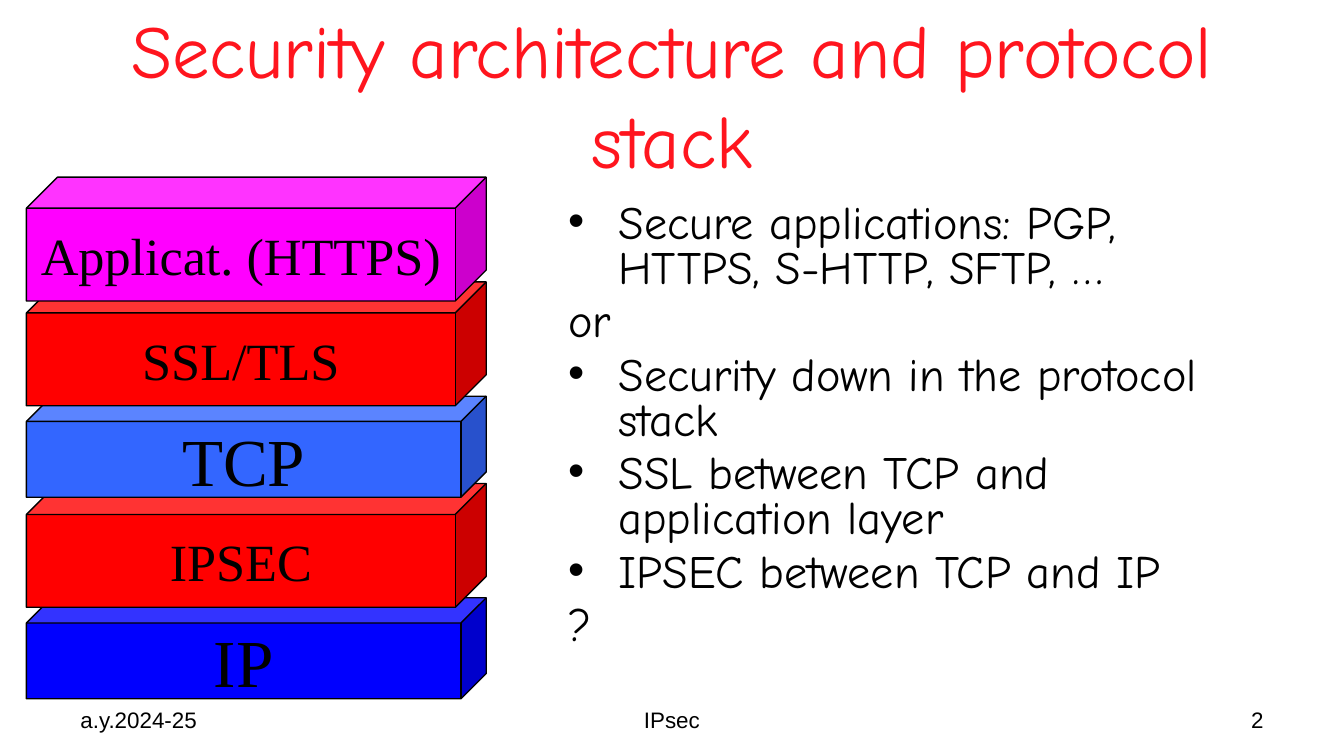
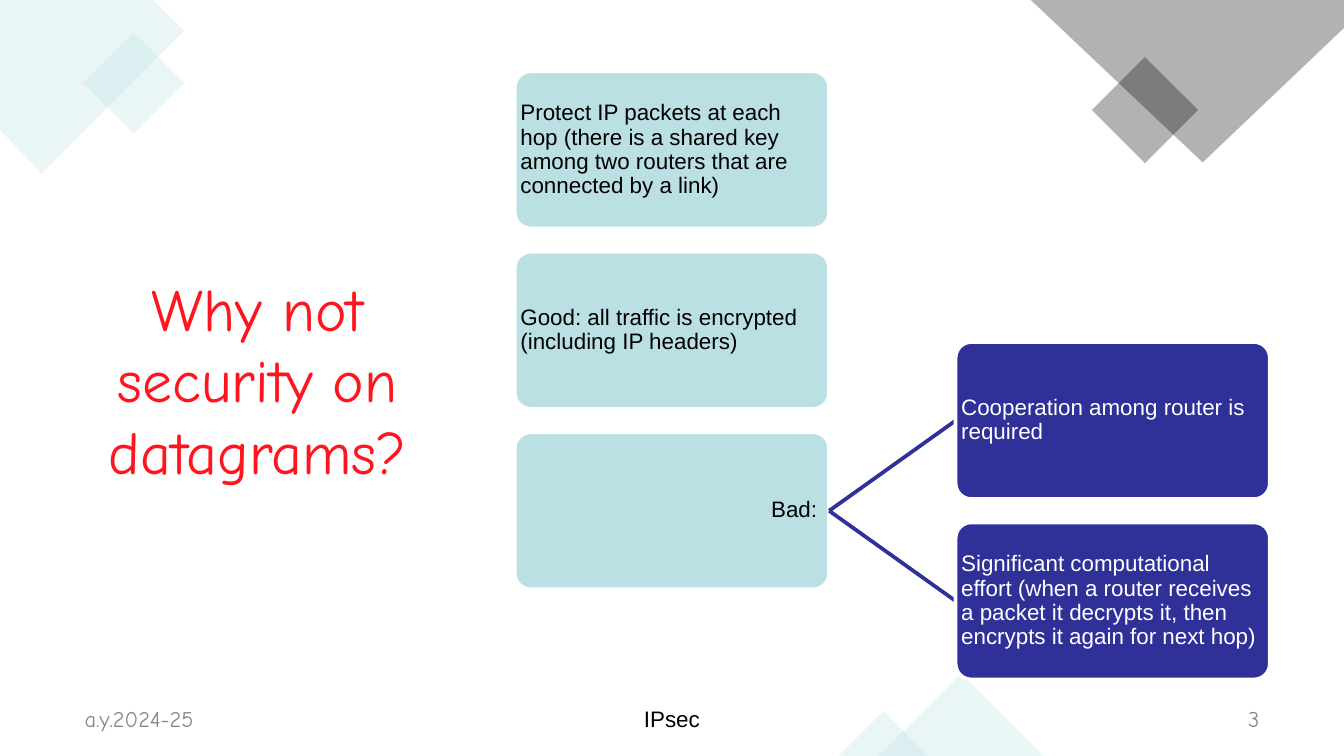
from collections import namedtuple

from lxml.etree import SubElement
from pptx import Presentation
from pptx.dml.color import RGBColor
from pptx.enum.shapes import MSO_CONNECTOR, MSO_SHAPE as Preset
from pptx.enum.text import MSO_ANCHOR as Anchor, PP_ALIGN as Align
from pptx.oxml.ns import qn
from pptx.util import Cm, Pt

Box = namedtuple("Box", "left top width height")
Style = namedtuple("Style", "face size color")

BLACK = RGBColor(0x00, 0x00, 0x00)
WHITE = RGBColor(0xFF, 0xFF, 0xFF)
GREY = RGBColor(0x88, 0x88, 0x88)
TITLE_RED = RGBColor(0xFF, 0x15, 0x1E)
BLUE = RGBColor(0x00, 0x00, 0xFF)
SKY_BLUE = RGBColor(0x33, 0x66, 0xFF)
RED = RGBColor(0xFF, 0x00, 0x00)
MAGENTA = RGBColor(0xFF, 0x00, 0xFF)
PALE_TEAL = RGBColor(0xBB, 0xE0, 0xE3)
INDIGO = RGBColor(0x30, 0x30, 0x99)

SANS, HAND, SERIF = "Arial", "Comic Neue", "Times New Roman"
PLAIN_FOOTER = Style(SANS, 12, BLACK)
HAND_FOOTER = Style(HAND, 12, GREY)
BODY = Style(HAND, 24.8, BLACK)

SLIDE_W, SLIDE_H = 25.4, 14.29
INSETS = (0.25, 0.13)
BULLET_INDENT = 0.95

# Bottom layer first: name, text size, colour, offset from the stack's top, height
LAYERS = [
    ("IP", 36, BLUE, 7.95, 1.91),
    ("IPSEC", 28, RED, 5.79, 2.34),
    ("TCP", 36, SKY_BLUE, 4.14, 1.91),
    ("SSL/TLS", 28, RED, 1.98, 2.34),
    ("Applicat. (HTTPS)", 28, MAGENTA, 0, 2.34),
]
# Text, bulleted
OPTIONS = [
    ("Secure applications: PGP, HTTPS, S-HTTP, SFTP, …", True),
    ("or", False),
    ("Security down in the protocol stack", True),
    ("SSL between TCP and application layer", True),
    ("IPSEC between TCP and IP", True),
    ("?", False),
]
POINTS = [
    ("Protect IP packets at each hop (there is a shared key among two "
     "routers that are connected by a link)", Align.LEFT),
    ("Good: all traffic is encrypted (including IP headers)", Align.LEFT),
    ("Bad: ", Align.RIGHT),
]
DRAWBACKS = [
    "Cooperation among router is required",
    "Significant computational effort (when a router receives a packet it "
    "decrypts it, then encrypts it again for next hop)",
]


def in_cm(box):
    return [Cm(length) for length in box]


def set_up_frame(frame, anchor, insets=INSETS, wrap=True):
    frame.word_wrap = wrap
    frame.vertical_anchor = anchor
    frame.margin_left = frame.margin_right = Cm(insets[0])
    frame.margin_top = frame.margin_bottom = Cm(insets[1])


def style_paragraph(paragraph, style, align=Align.LEFT, spacing=None):
    paragraph.alignment = align
    if spacing:
        paragraph.line_spacing = spacing
    font = paragraph.font
    font.name, font.size = style.face, Pt(style.size)
    font.color.rgb = style.color


def write(frame, text, style, align=Align.LEFT, spacing=None):
    paragraph = frame.paragraphs[0]
    paragraph.text = text
    style_paragraph(paragraph, style, align, spacing)


def add_label(slide, box, text, style, align, anchor, spacing=None):
    frame = slide.shapes.add_textbox(*in_cm(box)).text_frame
    set_up_frame(frame, anchor)
    write(frame, text, style, align, spacing)


def add_title(slide, box, text, size):
    add_label(slide, box, text, Style(HAND, size, TITLE_RED),
              Align.CENTER, Anchor.MIDDLE)


def add_footer(slide, box, side_width, centre_width, number, side_style,
               anchor=Anchor.TOP, spacing=None):
    parts = [
        ("a.y.2024-25", 0, side_width, side_style, Align.LEFT),
        ("IPsec", (box.width - centre_width) / 2, centre_width,
         PLAIN_FOOTER, Align.CENTER),
        (number, box.width - side_width, side_width, side_style, Align.RIGHT),
    ]
    for text, offset, width, style, align in parts:
        part = Box(box.left + offset, box.top, width, box.height)
        add_label(slide, part, text, style, align, anchor, spacing)


def add_filled(slide, preset, box, color):
    shape = slide.shapes.add_shape(preset, *in_cm(box))
    paint(shape, color)
    return shape


def paint(shape, color):
    shape.shadow.inherit = False
    shape.fill.solid()
    shape.fill.fore_color.rgb = color


def make_tint(shape, color, opacity=30):
    """Fill the shape with a see-through colour and no outline."""
    paint(shape, color)
    shape.line.fill.background()
    rgb = shape._element.spPr.find(qn("a:solidFill"))[0]
    SubElement(rgb, qn("a:alpha"), val=str(opacity * 1000))


def add_protocol_stack(slide, box):
    for name, size, color, offset, height in LAYERS:
        layer = add_filled(slide, Preset.CUBE,
                           Box(box.left, box.top + offset, box.width, height), color)
        layer.line.color.rgb = BLACK
        layer.line.width = Pt(0.75)
        set_up_frame(layer.text_frame, Anchor.MIDDLE, wrap=False)
        write(layer.text_frame, name, Style(SERIF, size, BLACK), Align.CENTER)


def add_bullet(paragraph):
    properties = paragraph._p.get_or_add_pPr()
    properties.set("marL", str(Cm(BULLET_INDENT)))
    properties.set("indent", str(-Cm(BULLET_INDENT)))
    color = SubElement(properties, qn("a:buClr"))
    SubElement(color, qn("a:srgbClr"), val=str(BLACK))
    SubElement(properties, qn("a:buFont"), typeface=SANS)
    SubElement(properties, qn("a:buChar"), char="•")


def add_options(slide, box):
    frame = slide.shapes.add_textbox(*in_cm(box)).text_frame
    set_up_frame(frame, Anchor.TOP)
    for index, (text, bulleted) in enumerate(OPTIONS):
        paragraph = frame.add_paragraph() if index else frame.paragraphs[0]
        paragraph.text = text
        if bulleted:
            add_bullet(paragraph)
        if index:
            paragraph.space_before = Pt(5)
        style_paragraph(paragraph, BODY, spacing=0.8)


def add_tinted_outline(slide, points, color):
    start, *rest = [(Cm(x), Cm(y)) for x, y in points]
    builder = slide.shapes.build_freeform(*start)
    builder.add_line_segments(rest, close=True)
    make_tint(builder.convert_to_shape(), color)


def add_diamond(slide, left, top, side, color):
    diamond = slide.shapes.add_shape(Preset.RECTANGLE,
                                     *in_cm(Box(left, top, side, side)))
    diamond.rotation = 315
    make_tint(diamond, color)


def add_corner_diamonds(slide):
    add_tinted_outline(slide, [(2.9, 0), (0, 0), (0, 2.46), (0.79, 3.28),
                               (3.48, 0.58)], PALE_TEAL)
    add_diamond(slide, 1.85, 0.89, 1.35, PALE_TEAL)
    add_diamond(slide, 20.93, 1.37, 1.42, BLACK)
    add_tinted_outline(slide, [(SLIDE_W, 0), (19.48, 0), (22.73, 3.07),
                               (SLIDE_W, 0.53)], BLACK)


def add_bottom_peaks(slide):
    for left, width in [(16.61, 3.12), (15.85, 1.7)]:
        height = width / 2
        peak = slide.shapes.add_shape(
            Preset.ISOSCELES_TRIANGLE,
            *in_cm(Box(left, SLIDE_H - height, width, height)))
        make_tint(peak, PALE_TEAL)


def add_node(slide, box, text, fill, text_color, align=Align.LEFT):
    node = add_filled(slide, Preset.ROUNDED_RECTANGLE, box, fill)
    node.adjustments[0] = 0.1
    node.line.color.rgb = WHITE
    node.line.width = Pt(2)
    set_up_frame(node.text_frame, Anchor.MIDDLE, insets=(0.02, 0.02))
    write(node.text_frame, text, Style(SANS, 12, text_color), align, 0.9)


def add_branch(slide, start, end):
    branch = slide.shapes.add_connector(MSO_CONNECTOR.STRAIGHT,
                                        *in_cm(start + end))
    branch.line.color.rgb = INDIGO
    branch.line.width = Pt(2)
    SubElement(branch._element.spPr, qn("a:effectLst"))


def add_argument_tree(slide, box):
    """Points in the left column; the last one branches into its drawbacks."""
    width, height, pitch = 5.94, 2.97, 3.41
    for row, (text, align) in enumerate(POINTS):
        point = Box(box.left, box.top + row * pitch, width, height)
        add_node(slide, point, text, PALE_TEAL, BLACK, align)
    right_column = box.left + box.width - width
    fork = (point.left + width, point.top + height / 2)
    for row, text in enumerate(DRAWBACKS):
        top = point.top + (row - 0.5) * pitch
        add_branch(slide, fork, (right_column, top + height / 2))
        add_node(slide, Box(right_column, top, width, height), text, INDIGO, WHITE)


def build_architecture_slide(slide):
    add_title(slide, Box(1.27, 0.58, 22.86, 2.39),
              "Security architecture and protocol stack", 40)
    add_options(slide, Box(10.49, 3.73, 13.64, 9.02))
    add_footer(slide, Box(1.27, 13.21, 22.86, 0.99), 5.92, 8.05, "2", PLAIN_FOOTER)
    add_protocol_stack(slide, Box(0.5, 3.35, 8.69, 9.86))


def build_datagrams_slide(slide):
    add_corner_diamonds(slide)
    add_footer(slide, Box(1.35, 13.23, 22.7, 0.76), 5.72, 8.58, "3", HAND_FOOTER,
               Anchor.MIDDLE, 0.9)
    add_bottom_peaks(slide)
    add_title(slide, Box(1.32, 1.35, 7.11, 11.63),
              "Why not security on datagrams?", 32)
    add_argument_tree(slide, Box(9.73, 1.35, 14.27, 11.5))


def main():
    deck = Presentation()
    deck.slide_width, deck.slide_height = Cm(SLIDE_W), Cm(SLIDE_H)
    blank = deck.slide_layouts[6]
    for build in (build_architecture_slide, build_datagrams_slide):
        build(deck.slides.add_slide(blank))
    deck.save("out.pptx")


if __name__ == "__main__":
    main()
